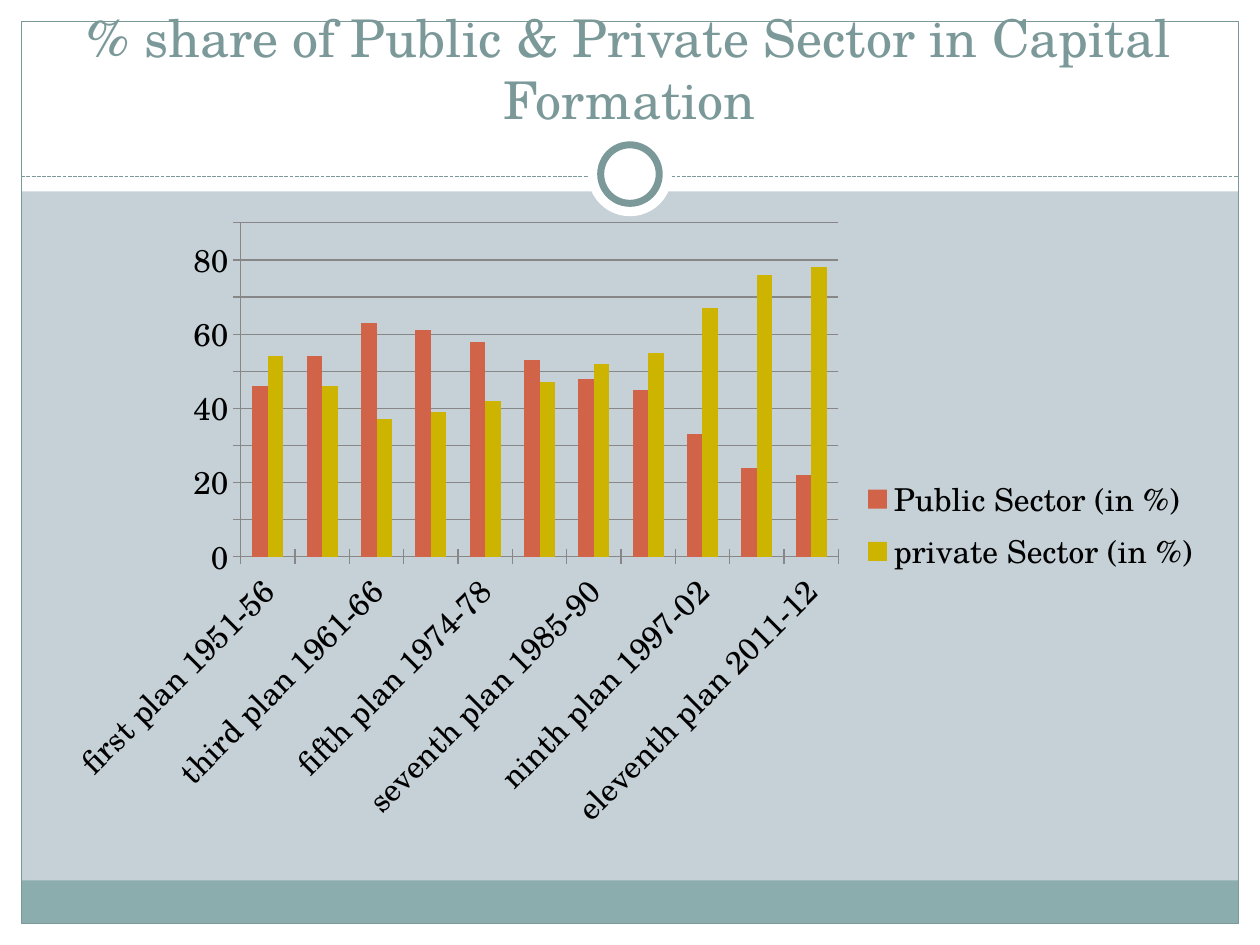
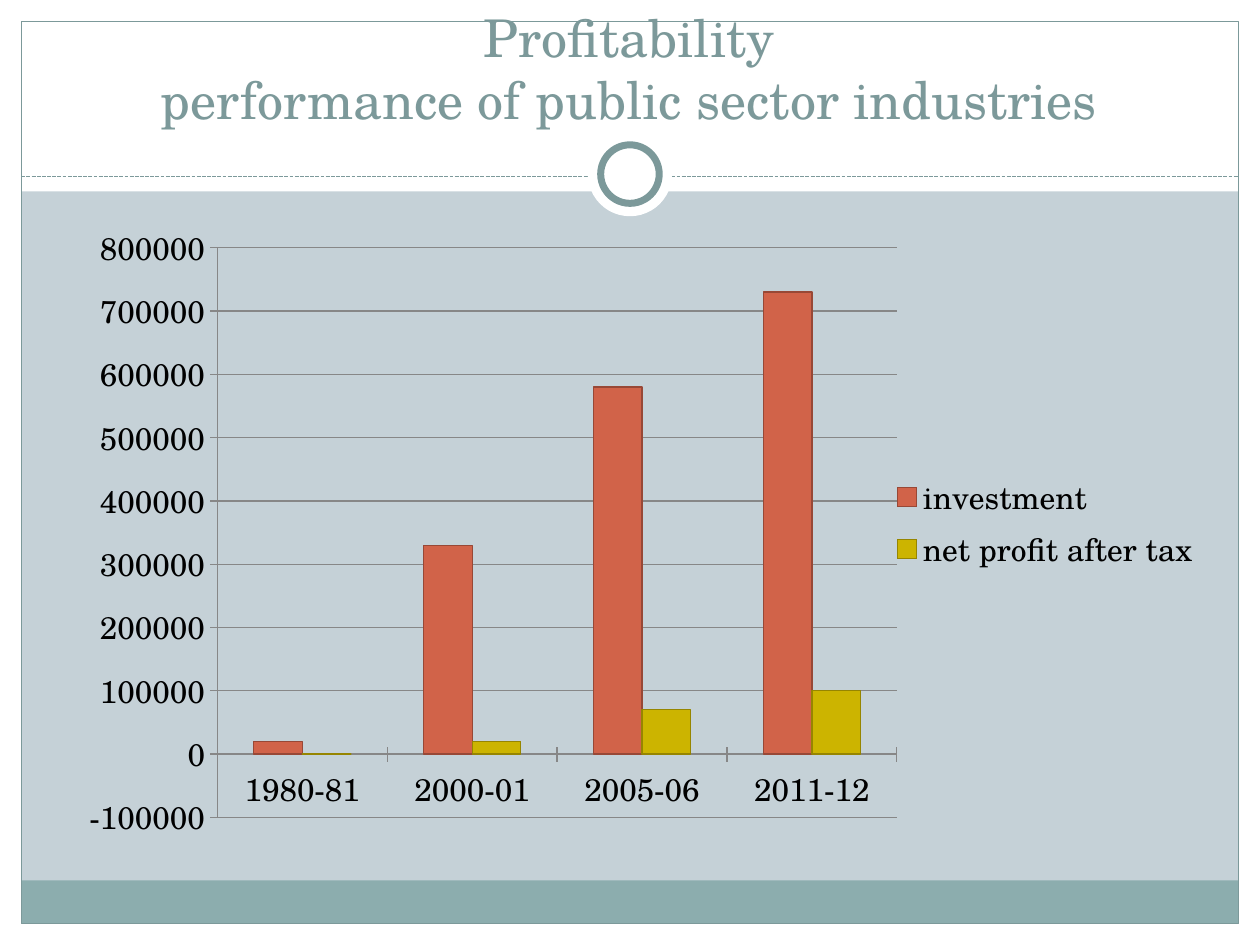
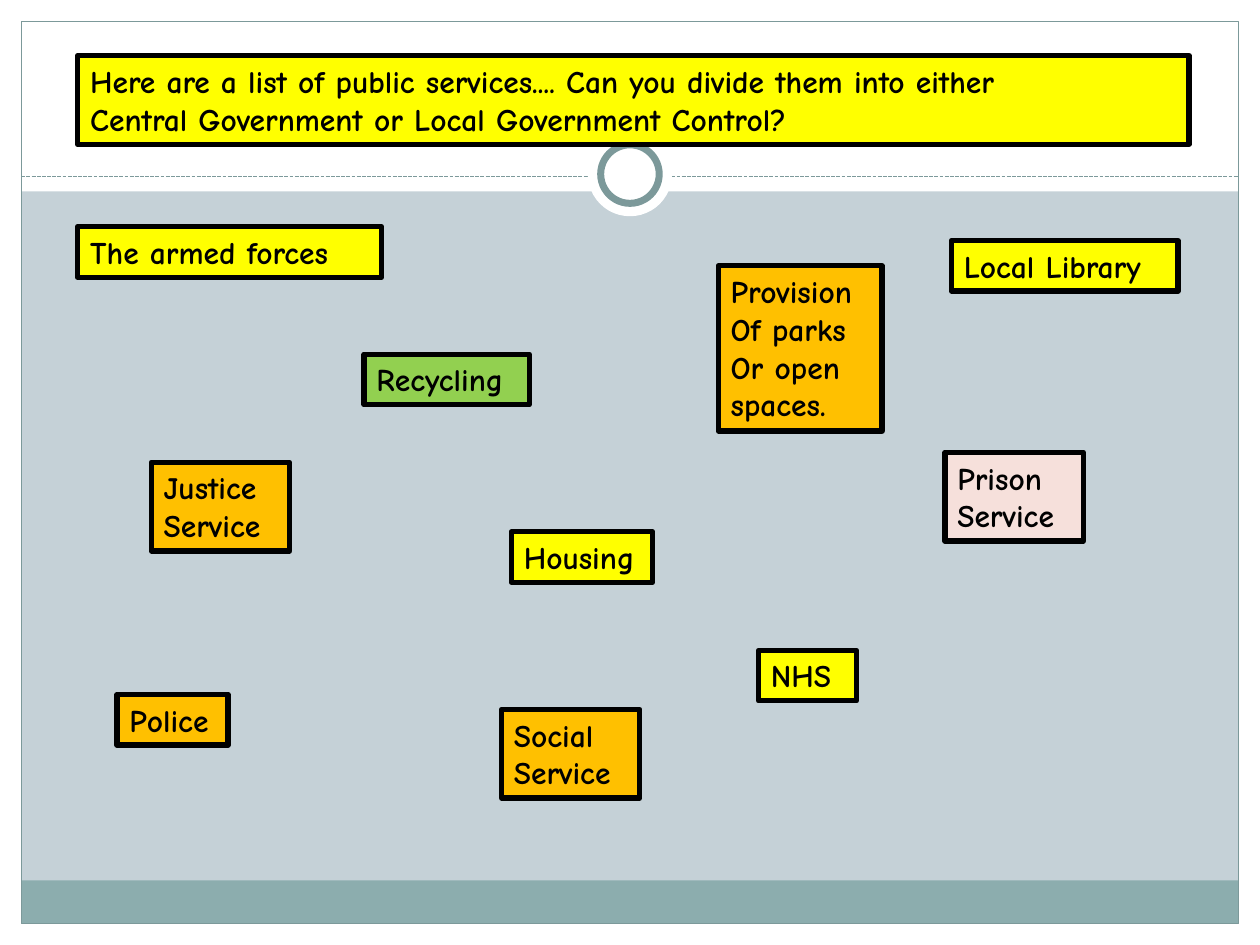
from dataclasses import dataclass

from lxml import etree
from pptx import Presentation
from pptx.chart.chart import Chart
from pptx.chart.data import CategoryChartData
from pptx.dml.color import RGBColor
from pptx.enum.chart import XL_CHART_TYPE, XL_LEGEND_POSITION, XL_TICK_MARK
from pptx.enum.dml import MSO_LINE
from pptx.enum.shapes import MSO_CONNECTOR, MSO_SHAPE
from pptx.enum.text import MSO_ANCHOR, MSO_AUTO_SIZE, PP_ALIGN
from pptx.oxml import parse_xml
from pptx.oxml.ns import nsdecls, qn
from pptx.util import Cm, Pt

RECT, OVAL = MSO_SHAPE.RECTANGLE, MSO_SHAPE.OVAL
STRAIGHT = MSO_CONNECTOR.STRAIGHT
DASH = MSO_LINE.SQUARE_DOT
CLUSTERED = XL_CHART_TYPE.COLUMN_CLUSTERED
LEGEND_RIGHT = XL_LEGEND_POSITION.RIGHT
TICK_CROSS = XL_TICK_MARK.CROSS
BOTTOM, TOP = MSO_ANCHOR.BOTTOM, MSO_ANCHOR.TOP
CENTER = PP_ALIGN.CENTER
NO_FIT = MSO_AUTO_SIZE.NONE
TITLE_ONLY, BLANK = 5, 6


@dataclass(frozen=True)
class Theme:
    background: str = "C5D1D7"
    white: str = "FFFFFF"
    black: str = "000000"
    accent: str = "7C999A"
    band: str = "8CADAE"
    grid: str = "878787"
    yellow: str = "FFFF00"
    orange: str = "FFC000"
    green: str = "92D050"
    pink: str = "F6E0DB"
    series: tuple[str, ...] = ("D16349", "CCB400")
    outlines: tuple[str, ...] = ("984836", "968500")
    font: str = "TeX Gyre Schola"
    card_font: str = "Comic Neue"
    title_size: float = 29.7
    text_size: float = 18
    thin: float = 0.75
    card_line: float = 3
    ring_line: float = 4


T = Theme()


@dataclass(frozen=True)
class Box:
    """Left, top, width and height in centimetres."""
    x: float
    y: float
    w: float
    h: float

    def emu(self) -> tuple[Cm, Cm, Cm, Cm]:
        return Cm(self.x), Cm(self.y), Cm(self.w), Cm(self.h)


@dataclass(frozen=True)
class Panel:
    kind: MSO_SHAPE
    box: Box
    fill: str | None = None
    line: str | None = None
    width: float = T.thin


@dataclass(frozen=True)
class ColumnChart:
    title: tuple[str, ...]
    categories: tuple[str, ...]
    series: dict[str, tuple[int, ...]]
    plot: Box  # fractions of the chart area
    low: int
    high: int
    step: int
    outlined: bool = False
    label_angle: int = 0


@dataclass(frozen=True)
class Card:
    lines: tuple[str, ...]
    x: float
    y: float
    w: float
    fill: str


# Shared geometry
WIDTH, HEIGHT, MARGIN = 25.4, 19.05, 0.43
INNER_W, INNER_H = WIDTH - 2 * MARGIN, HEIGHT - 2 * MARGIN
RULE_Y = 3.56
TITLE_BOX = Box(0.84, 0.64, 23.7, 2.11)
CHART_BOX = Box(0.84, 4.24, 23.62, 12.7)
LINE_HEIGHT, CARD_PADDING = 0.77, 0.25

FRAME = (
    Panel(RECT, Box(0, HEIGHT - MARGIN, WIDTH, MARGIN), T.white),
    Panel(RECT, Box(0, 0, WIDTH, 3.86), T.white),
    Panel(RECT, Box(0, 0, MARGIN, HEIGHT), T.white),
    Panel(RECT, Box(WIDTH - MARGIN, 0, MARGIN, HEIGHT), T.white),
    Panel(RECT, Box(MARGIN, 17.75, INNER_W, 0.87), T.band),
    Panel(RECT, Box(MARGIN, MARGIN, INNER_W, INNER_H), line=T.accent),
)
RINGS = (
    Panel(OVAL, Box(11.85, 2.66, 1.7, 1.7), T.white),
    Panel(OVAL, Box(12.11, 2.92, 1.18, 1.18), T.white, T.accent, T.ring_line),
)

# Slide content
CHARTS = (
    ColumnChart(
        ("% share of Public & Private Sector in Capital Formation",),
        ("first plan 1951-56", "second plan 1956-61", "third plan 1961-66",
         "fourth plan 1969-74", "fifth plan 1974-78", "sixth plan 1980-85",
         "seventh plan 1985-90", "eightplan 1992-97", "ninth plan 1997-02",
         "tenth plan 2002-07", "eleventh plan 2011-12"),
        {"Public Sector (in %)": (46, 54, 63, 61, 58, 53, 48, 45, 33, 24, 22),
         "private Sector (in %)": (54, 46, 37, 39, 42, 47, 52, 55, 67, 76, 78)},
        Box(0.17, 0.02, 0.51, 0.53), 0, 90, 10, label_angle=-45),
    ColumnChart(
        ("Profitability", "performance of public sector industries"),
        ("1980-81", "2000-01", "2005-06", "2011-12"),
        {"investment": (20000, 330000, 580000, 730000),
         "net profit after tax": (0, 20000, 70000, 100000)},
        Box(0.15, 0.06, 0.58, 0.91), -100000, 800000, 100000,
        outlined=True),
)
CARDS = (
    Card(("Here are a list of public services.... Can you divide them into either",
          "Central Government or Local Government Control?"),
         1.57, 1.12, 22.4, T.yellow),
    Card(("The armed forces",), 1.57, 4.57, 6.12, T.yellow),
    Card(("Recycling",), 7.34, 7.14, 3.33, T.green),
    Card(("Justice", "Service"), 3.05, 9.32, 2.79, T.orange),
    Card(("Provision", "Of parks", "Or open", "spaces."),
         14.48, 5.36, 3.3, T.orange),
    Card(("Housing",), 10.31, 10.72, 2.84, T.yellow),
    Card(("Social", "Service"), 10.11, 14.3, 2.79, T.orange),
    Card(("NHS",), 15.29, 13.11, 1.98, T.yellow),
    Card(("Prison", "Service"), 19.05, 9.12, 2.79, T.pink),
    Card(("Local Library",), 19.18, 4.85, 4.57, T.yellow),
    Card(("Police",), 2.36, 14, 2.24, T.orange),
)


def rgb(value: str) -> RGBColor:
    return RGBColor.from_string(value)


def paint(sp, fill: str | None, line: str | None, width: float = T.thin) -> None:
    """Set fill and outline of a shape or of a chart format."""
    if fill:
        sp.fill.solid()
        sp.fill.fore_color.rgb = rgb(fill)
    else:
        sp.fill.background()
    if line:
        sp.line.color.rgb = rgb(line)
        sp.line.width = Pt(width)
    else:
        sp.line.fill.background()


def style_font(font, name: str, size: float, color: str,
               bold: bool = False) -> None:
    font.name, font.size, font.bold = name, Pt(size), bold
    font.color.rgb = rgb(color)


def add_panel(s, panel: Panel):
    sp = s.shapes.add_shape(panel.kind, *panel.box.emu())
    sp.shadow.inherit = False
    paint(sp, panel.fill, panel.line, panel.width)
    return sp


def add_rule(s):
    y = Cm(RULE_Y)
    cxn = s.shapes.add_connector(STRAIGHT, Cm(MARGIN), y, Cm(WIDTH - MARGIN), y)
    cxn.line.color.rgb = rgb(T.accent)
    cxn.line.width = Pt(T.thin)
    cxn.line.dash_style = DASH
    etree.SubElement(cxn.element.spPr, qn("a:effectLst"))
    return cxn


def build_master(prs, s) -> None:
    """Draw the shared frame, then move it from the slide to the master."""
    master = prs.slide_master
    master.background.fill.solid()
    master.background.fill.fore_color.rgb = rgb(T.background)
    parts = [add_panel(s, panel) for panel in FRAME]
    parts.append(add_rule(s))
    parts += [add_panel(s, ring) for ring in RINGS]
    for number, sp in enumerate(parts, start=100):
        sp.element.xpath(".//p:cNvPr")[0].set("id", str(number))
        master.shapes.element.append(sp.element)


def set_title(s, lines: tuple[str, ...]) -> None:
    sp = s.shapes.title
    sp.left, sp.top, sp.width, sp.height = TITLE_BOX.emu()
    tf = sp.text_frame
    tf.auto_size, tf.vertical_anchor, tf.word_wrap = NO_FIT, BOTTOM, True
    p = tf.paragraphs[0]
    p.alignment = CENTER
    for i, line in enumerate(lines):
        if i:
            p.add_line_break()
        r = p.add_run()
        r.text = line
        style_font(r.font, T.font, T.title_size, T.accent)


def set_plot_layout(chart: Chart, box: Box) -> None:
    plot_area = chart.element.xpath("c:chart/c:plotArea")[0]
    for old in plot_area.findall(qn("c:layout")):
        plot_area.remove(old)
    places = "".join(f'<c:{key} val="{getattr(box, key)}"/>' for key in "xywh")
    plot_area.insert(0, parse_xml(
        f'<c:layout {nsdecls("c")}><c:manualLayout>'
        '<c:layoutTarget val="inner"/><c:xMode val="edge"/><c:yMode val="edge"/>'
        f'{places}</c:manualLayout></c:layout>'))


def add_column_chart(s, spec: ColumnChart) -> None:
    data = CategoryChartData()
    data.categories = spec.categories
    for name, values in spec.series.items():
        data.add_series(name, values)
    chart = s.shapes.add_chart(CLUSTERED, *CHART_BOX.emu(), data).chart
    chart.has_title = False
    style_font(chart.font, T.font, T.text_size, T.black)
    set_plot_layout(chart, spec.plot)

    # Legend and columns
    chart.has_legend = True
    chart.legend.position = LEGEND_RIGHT
    chart.legend.include_in_layout = False
    plot = chart.plots[0]
    plot.gap_width, plot.overlap, plot.vary_by_categories = 150, 0, False
    for series, fill, outline in zip(plot.series, T.series, T.outlines):
        series.invert_if_negative = False
        paint(series.format, fill, outline if spec.outlined else None)

    # Axes
    cat_axis, val_axis = chart.category_axis, chart.value_axis
    val_axis.minimum_scale, val_axis.maximum_scale = spec.low, spec.high
    val_axis.major_unit = spec.step
    val_axis.has_major_gridlines = True
    for axis in (cat_axis, val_axis):
        axis.major_tick_mark = TICK_CROSS
        style_font(axis.tick_labels.font, T.font, T.text_size, T.black)
    for line in (cat_axis.format.line, val_axis.format.line,
                 val_axis.major_gridlines.format.line):
        line.color.rgb = rgb(T.grid)
        line.width = Pt(T.thin)
    if spec.label_angle:
        body = chart.element.xpath(".//c:catAx/c:txPr/a:bodyPr")[0]
        body.set("rot", str(spec.label_angle * 60000))
        body.set("vert", "horz")


def add_card(s, card: Card) -> None:
    height = len(card.lines) * LINE_HEIGHT + CARD_PADDING
    sp = s.shapes.add_textbox(*Box(card.x, card.y, card.w, height).emu())
    paint(sp, card.fill, T.black, T.card_line)
    tf = sp.text_frame
    tf.word_wrap, tf.auto_size, tf.vertical_anchor = True, NO_FIT, TOP
    for i, line in enumerate(card.lines):
        p = tf.add_paragraph() if i else tf.paragraphs[0]
        r = p.add_run()
        r.text = line
        style_font(r.font, T.card_font, T.text_size, T.black, bold=True)


def main() -> None:
    prs = Presentation()
    prs.slide_width, prs.slide_height = Cm(WIDTH), Cm(HEIGHT)

    # Chart slides
    for i, spec in enumerate(CHARTS):
        s = prs.slides.add_slide(prs.slide_layouts[TITLE_ONLY])
        if i == 0:
            build_master(prs, s)
        set_title(s, spec.title)
        add_column_chart(s, spec)

    # Sorting exercise
    s = prs.slides.add_slide(prs.slide_layouts[BLANK])
    for card in CARDS:
        add_card(s, card)

    prs.save("out.pptx")


if __name__ == "__main__":
    main()
